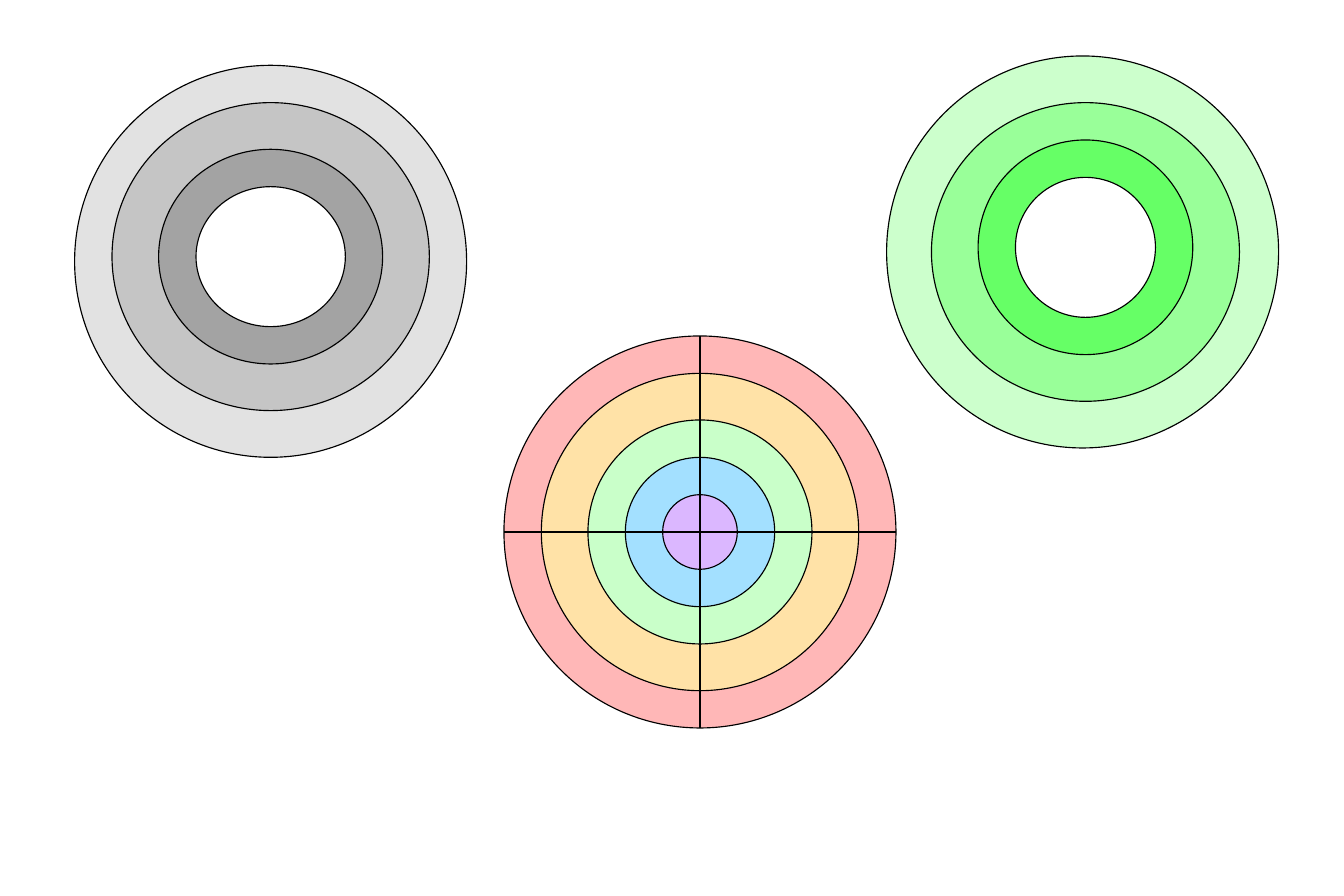
from pptx import Presentation
from pptx.dml.color import RGBColor
from pptx.enum.shapes import MSO_CONNECTOR, MSO_SHAPE
from pptx.oxml.ns import qn
from pptx.util import Inches, Pt
from lxml.etree import SubElement

CELLS_PER_INCH = 12  # the slide is a grid of 144 columns by 96 rows


def color(hex_string):
    return RGBColor.from_string(hex_string)


def cells(count):
    return Inches(count / CELLS_PER_INCH)


class RingSlide:
    line_color = "000000"
    line_width = Pt(0.75)

    def __init__(self, presentation):
        self.slide = presentation.slides.add_slide(presentation.slide_layouts[6])

    def outline(self, line):
        line.color.rgb = color(self.line_color)
        line.width = self.line_width

    def ellipse(self, shapes, center, size, fill):
        (column, row), (width, height) = center, size
        shape = shapes.add_shape(
            MSO_SHAPE.OVAL, cells(column - width / 2), cells(row - height / 2),
            cells(width), cells(height))
        shape.shadow.inherit = False
        shape.fill.solid()
        shape.fill.fore_color.rgb = color(fill)
        self.outline(shape.line)

    def line(self, shapes, start, end):
        connector = shapes.add_connector(
            MSO_CONNECTOR.STRAIGHT, *map(cells, start), *map(cells, end))
        self.outline(connector.line)
        SubElement(connector._element.spPr, qn("a:effectLst"))

    def rings(self, ellipses):
        """Draw (center, size, fill) ellipses from the outside in."""
        for center, size, fill in ellipses:
            self.ellipse(self.slide.shapes, center, size, fill)

    def target(self, center, diameters_and_fills):
        """Draw a group of concentric circles with a cross over them."""
        shapes = self.slide.shapes.add_group_shape().shapes
        for diameter, fill in diameters_and_fills:
            self.ellipse(shapes, center, (diameter, diameter), fill)
        column, row = center
        radius = diameters_and_fills[0][0] / 2
        self.line(shapes, (column, row - radius), (column, row + radius))
        self.line(shapes, (column - radius, row), (column + radius, row))


GRAY_RINGS = [
    ((29, 28), (42, 42), "E2E2E2"),
    ((29, 27.5), (34, 33), "C5C5C5"),
    ((29, 27.5), (24, 23), "A3A3A3"),
    ((29, 27.5), (16, 15), "FFFFFF"),
]
TARGET_CIRCLES = [
    (42, "FFB7B7"), (34, "FFE2A7"), (24, "C9FFC9"), (16, "A3E0FF"), (8, "DBB7FF"),
]
GREEN_RINGS = [
    ((116, 27), (42, 42), "CCFFCC"),
    ((116.3, 27), (33, 32), "99FF99"),
    ((116.3, 26.5), (23, 23), "66FF66"),
    ((116.3, 26.5), (15, 15), "FFFFFF"),
]


def main():
    presentation = Presentation()
    presentation.slide_width = Inches(12)
    presentation.slide_height = Inches(8)

    ring_slide = RingSlide(presentation)
    ring_slide.rings(GRAY_RINGS)
    ring_slide.target((75, 57), TARGET_CIRCLES)
    ring_slide.rings(GREEN_RINGS)

    presentation.save("out.pptx")


if __name__ == "__main__":
    main()
